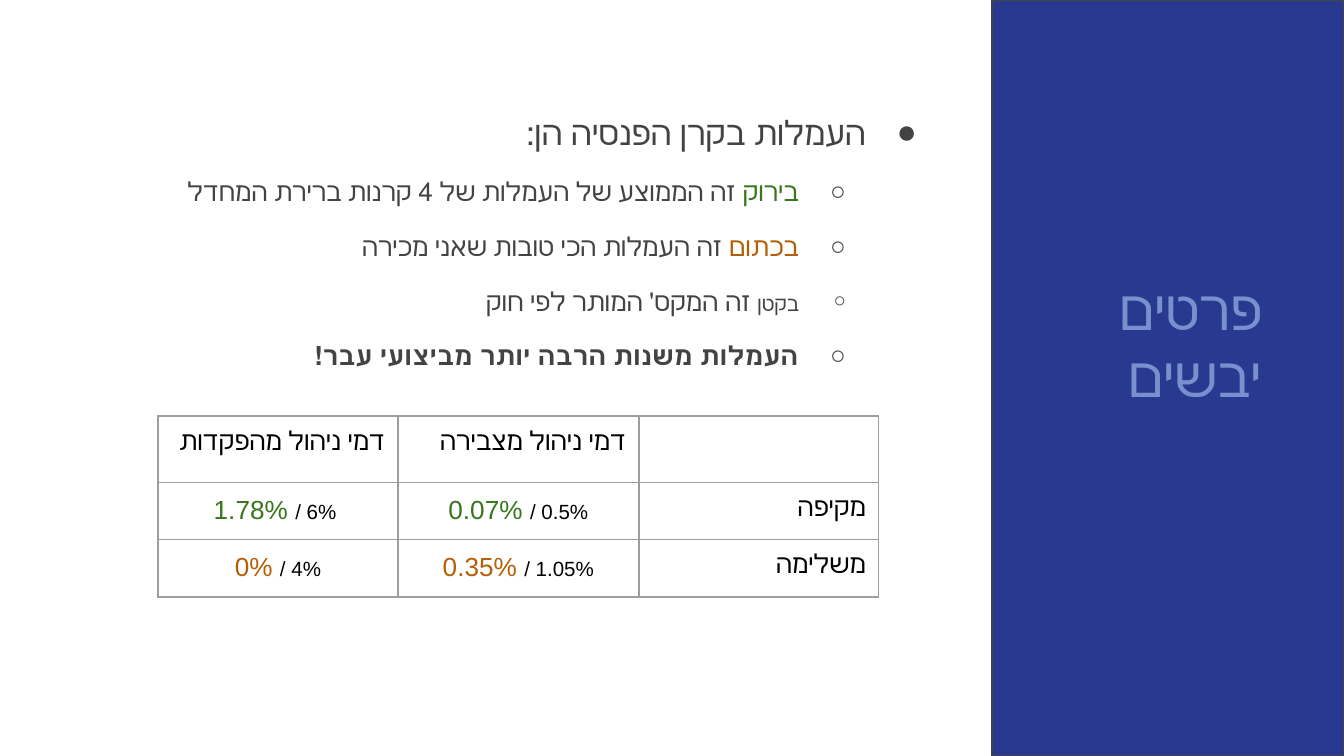
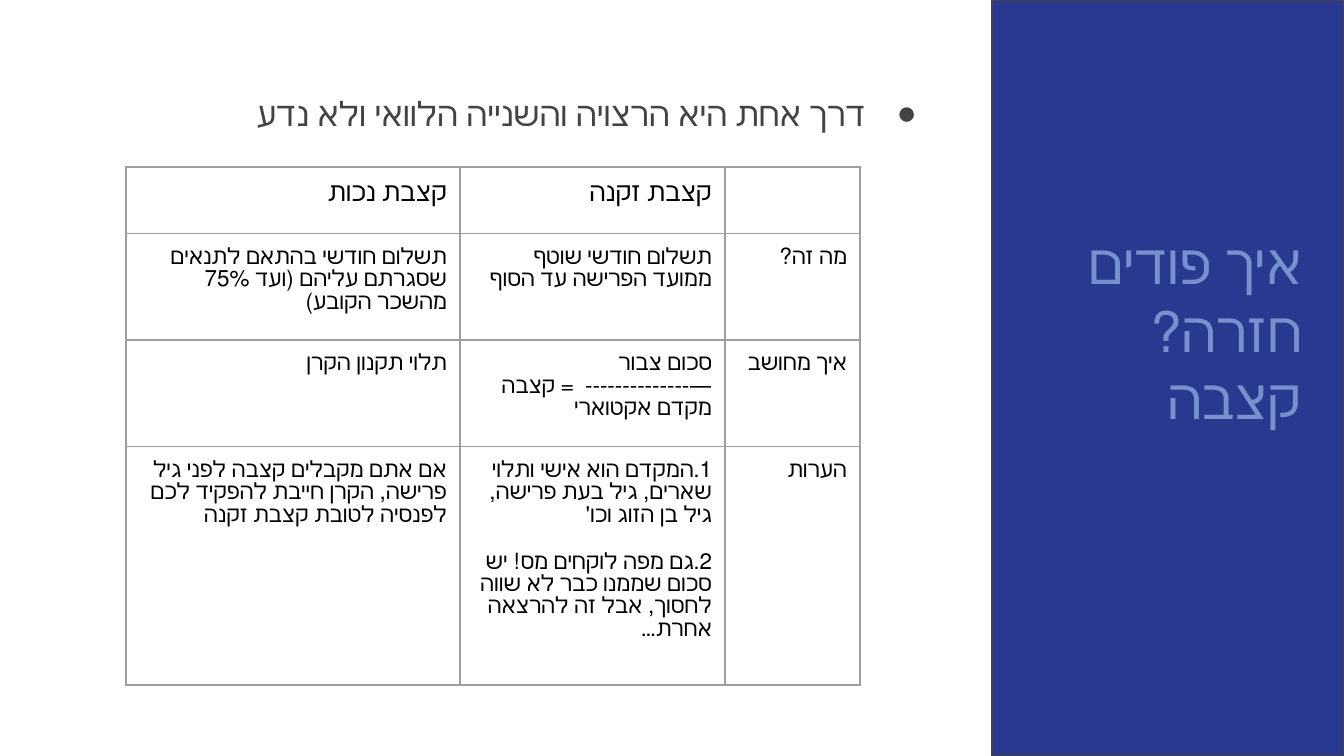
from lxml.etree import SubElement
from pptx import Presentation
from pptx.dml.color import RGBColor
from pptx.enum.shapes import MSO_SHAPE
from pptx.enum.text import MSO_ANCHOR, PP_ALIGN
from pptx.oxml.ns import qn
from pptx.util import Emu, Pt

# Shared look
WIDE, HIGH = 1344, 756
PANEL = 992
INSET = 13
ROW = 56
BLUE, PALE, GREY, EDGE = "2A3990", "7890CD", "434343", "9E9E9E"
BLACK, GREEN, ORANGE = "000000", "38761D", "B45F06"

TITLE = {"name": "Roboto", "size": Pt(30), "color": PALE}
LEAD = {"name": "Roboto", "size": Pt(18), "color": GREY}
POINT = {**LEAD, "size": Pt(14)}
HEAD = {"name": "Arial", "size": Pt(14), "color": BLACK}
SMALL = {**HEAD, "size": Pt(11)}
NOTE = {**HEAD, "size": Pt(12)}

RIGHT = {"alignment": PP_ALIGN.RIGHT}
CENTER = {"alignment": PP_ALIGN.CENTER}
# Bullet levels: sign, indent, hanging part
LEVELS = [("●", 67, 51), ("○", 134, 47)]


def px(num):
    return Emu(round(num * 914400 / 134.4))


def rgb(code):
    return RGBColor.from_string(code)


def apply(item, form):
    for key, value in form.items():
        if key == "color":
            item.color.rgb = rgb(value)
        else:
            setattr(item, key, value)


def inset(item):
    for side in ("left", "right", "top", "bottom"):
        setattr(item, f"margin_{side}", px(INSET))


# Text
def write(para, runs, form=RIGHT):
    apply(para, form)
    if form["alignment"] == PP_ALIGN.RIGHT:
        para._p.get_or_add_pPr().set("rtl", "1")
    for text, style in runs:
        run = para.add_run()
        run.text = text
        apply(run.font, style)


def bullet(para, level, size):
    sign, indent, hang = LEVELS[level]
    para.level = level
    props = para._p.get_or_add_pPr()
    props.set("marL", str(px(indent)))
    props.set("indent", str(-px(hang)))
    color = SubElement(props, qn("a:buClr"))
    SubElement(color, qn("a:srgbClr")).set("val", GREY)
    SubElement(props, qn("a:buSzPts")).set("val", str(int(size.pt * 100)))
    SubElement(props, qn("a:buFont")).set("typeface", "Arial")
    SubElement(props, qn("a:buChar")).set("char", sign)


def lines(frame, items):
    for num, (runs, form) in enumerate(items):
        para = frame.add_paragraph() if num else frame.paragraphs[0]
        write(para, runs, form)
        yield para, runs


def box(slide, *area):
    frame = slide.shapes.add_textbox(*map(px, area)).text_frame
    frame.word_wrap = True
    frame.vertical_anchor = MSO_ANCHOR.TOP
    inset(frame)
    return frame


def body(slide, top, points):
    frame = box(slide, 91, top, 855, 629)
    items = []
    for num, runs in enumerate(points):
        form = {**RIGHT, "line_spacing": 1.15}
        if num:
            form["space_before"] = Pt(10)
        if num == len(points) - 1:
            form["space_after"] = Pt(10)
        items.append((runs, form))
    for num, (para, runs) in enumerate(lines(frame, items)):
        bullet(para, min(num, 1), runs[0][1]["size"])


# Slide with the blue side panel and its title
def page(deck, area, title):
    slide = deck.slides.add_slide(deck.slide_layouts[6])
    panel = slide.shapes.add_shape(
        MSO_SHAPE.RECTANGLE, px(PANEL), px(0), px(WIDE - PANEL), px(HIGH))
    panel.shadow.inherit = False
    panel.fill.solid()
    panel.fill.fore_color.rgb = rgb(BLUE)
    panel.line.color.rgb = rgb(GREY)
    panel.line.width = Pt(0.75)
    list(lines(box(slide, *area), [([(text, TITLE)], RIGHT) for text in title]))
    return slide


# Table
def border(cell):
    props = cell._tc.get_or_add_tcPr()
    for side in "LRTB":
        line = SubElement(props, qn(f"a:ln{side}"), w=str(Pt(0.75)))
        fill = SubElement(line, qn("a:solidFill"))
        SubElement(fill, qn("a:srgbClr")).set("val", EDGE)


def grid(slide, left, top, cols, rows):
    table = slide.shapes.add_table(
        len(rows), len(cols), px(left), px(top), px(sum(cols)), px(ROW * len(rows))).table
    apply(table, {"first_row": False, "horz_banding": False})
    for col, width in zip(table.columns, cols):
        col.width = px(width)
    for y, row in enumerate(rows):
        table.rows[y].height = px(ROW)
        for x, items in enumerate(row):
            cell = table.cell(y, x)
            inset(cell)
            border(cell)
            cell.fill.background()
            list(lines(cell.text_frame, items))


def label(text, style=HEAD):
    return [([(text, style)], RIGHT)]


def rate(best, limit, color):
    return [([(best, {**HEAD, "color": color}), (limit, SMALL)], CENTER)]


def fees(deck):
    slide = page(deck, (1055, 261, 220, 190), ["פרטים", "יבשים"])
    body(slide, 93, [
        [("העמלות בקרן הפנסיה הן:", LEAD)],
        [("בירוק", {**POINT, "color": GREEN}),
         (" זה הממוצע של העמלות של 4 קרנות ברירת המחדל", POINT)],
        [("בכתום", {**POINT, "color": ORANGE}),
         (" זה העמלות הכי טובות שאני מכירה", POINT)],
        [("בקטן", {**POINT, "size": Pt(11)}), (" זה המקס׳ המותר לפי חוק", POINT)],
        [("העמלות משנות הרבה יותר מביצועי עבר!", {**POINT, "bold": True})],
    ])
    grid(slide, 158, 416, [240, 241, 240], [
        [label("דמי ניהול מהפקדות"), label("דמי ניהול מצבירה"), []],
        [rate("1.78% ", "/ 6% ", GREEN), rate("0.07% ", "/ 0.5%", GREEN),
         label("מקיפה")],
        [rate("0% ", "/ 4%", ORANGE), rate("0.35% ", "/ 1.05%", ORANGE),
         label("משלימה")],
    ])


def payout(deck):
    slide = page(deck, (1013, 216, 302, 253), ["איך פודים חזרה?", "קצבה"])
    body(slide, 74, [[("דרך אחת היא הרצויה והשנייה הלוואי ולא נדע", LEAD)]])
    ratio = [*label("סכום צבור", NOTE), *label("—--------------  = קצבה", NOTE),
             *label("מקדם אקטוארי", NOTE)]
    tax = "2.גם מפה לוקחים מס! יש סכום שממנו כבר לא שווה לחסוך, אבל זה להרצאה אחרת…"
    notes = [
        *label("1.המקדם הוא אישי ותלוי שארים, גיל בעת פרישה, גיל בן הזוג וכו׳", NOTE),
        ([(tax, NOTE)], {**RIGHT, "space_before": Pt(13)}),
    ]
    grid(slide, 126, 167, [334, 265, 135], [
        [label("קצבת נכות"), label("קצבת זקנה"), []],
        [label("תשלום חודשי בהתאם לתנאים שסגרתם עליהם (ועד 75% מהשכר הקובע)", NOTE),
         label("תשלום חודשי שוטף ממועד הפרישה עד הסוף", NOTE),
         label("מה זה?", NOTE)],
        [label("תלוי תקנון הקרן", NOTE), ratio, label("איך מחושב", NOTE)],
        [label("אם אתם מקבלים קצבה לפני גיל פרישה, הקרן חייבת להפקיד לכם "
               "לפנסיה לטובת קצבת זקנה", NOTE),
         notes, label("הערות", NOTE)],
    ])


def main():
    deck = Presentation()
    deck.slide_width, deck.slide_height = px(WIDE), px(HIGH)
    fees(deck)
    payout(deck)
    deck.save("out.pptx")


if __name__ == "__main__":
    main()
